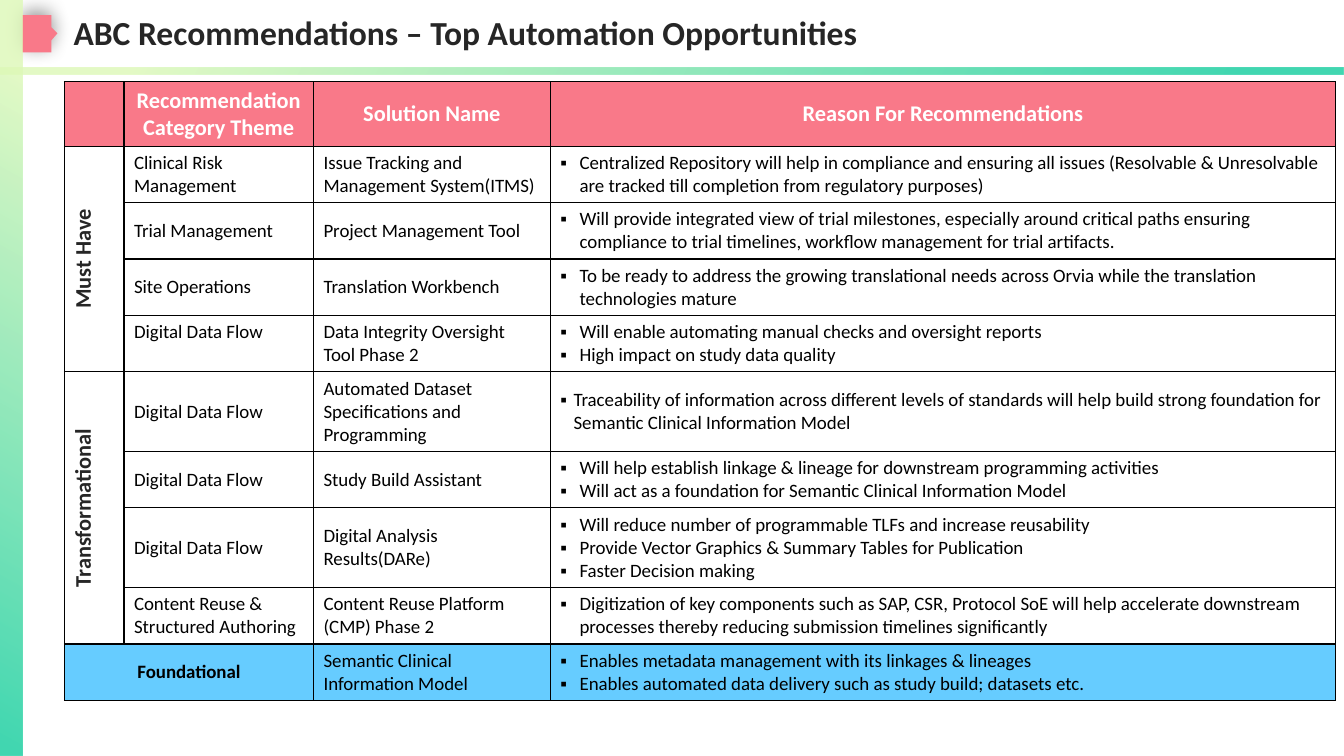
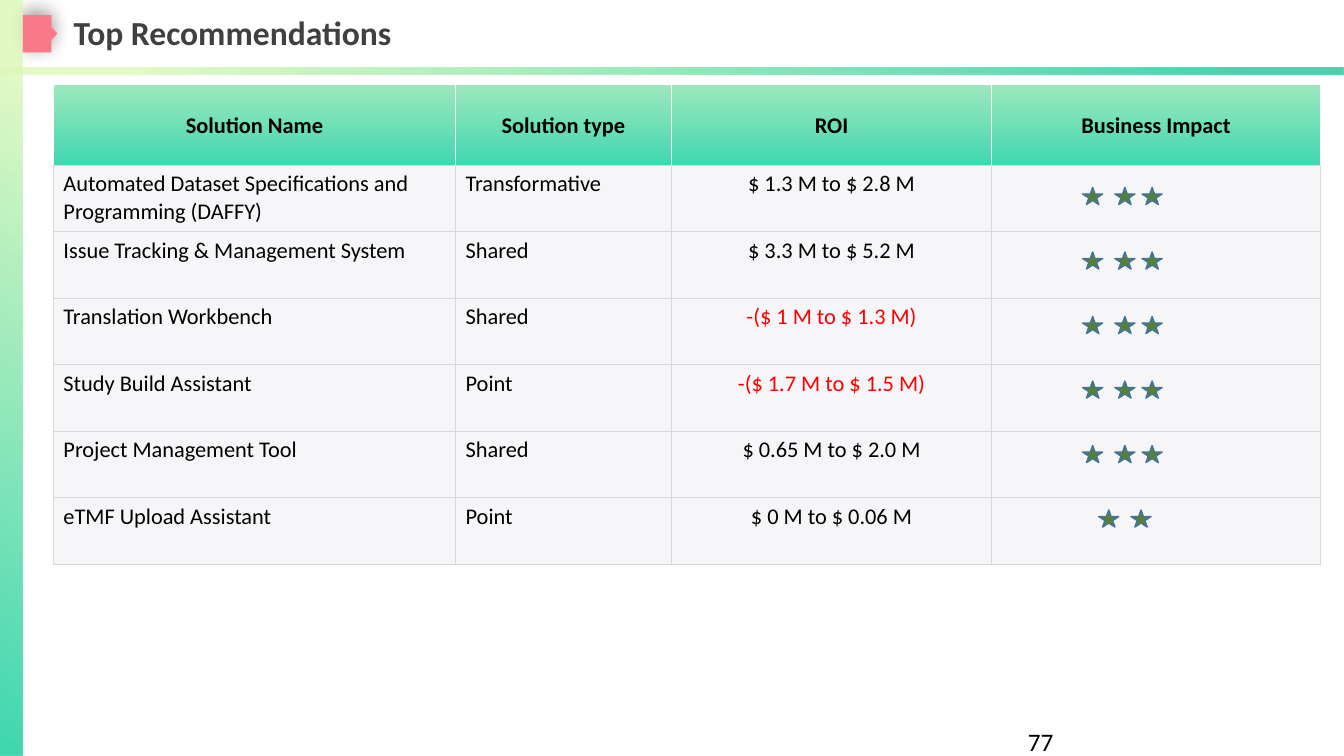
from itertools import accumulate

from lxml.etree import SubElement
from pptx import Presentation
from pptx.dml.color import RGBColor
from pptx.enum.shapes import MSO_SHAPE as Preset
from pptx.enum.text import MSO_ANCHOR as Anchor, PP_ALIGN as Align
from pptx.oxml.ns import qn
from pptx.util import Inches, Pt

COLORS = {
    "black": "000000", "ink": "262626", "slate": "404040", "white": "FFFFFF",
    "coral": "F97989", "sky": "66CCFF", "red": "FF0000", "mist": "F6F6F9",
    "rule": "D9D9D9", "lime": "DDF9B8", "teal": "14CE9F", "mint": "9CE9BC",
    "sea": "41D6B1", "star": "548235", "star edge": "43739E",
}
BODY, HEAD = Pt(13.5), Pt(16)
STYLES = {
    "title": {"size": Pt(24), "bold": True},
    "number": {"size": Pt(18)},
    "head": {"size": HEAD, "bold": True},
    "body": {"size": BODY, "bold": False},
    "strong": {"size": BODY, "bold": True},
    "large": {"size": HEAD, "bold": False},
}
COLUMNS, ROWS, CELL = 133.33, 75, Inches(0.1)
BAR, BAND_TOP, BAND = 2.2, 6.7, 0.7

HEADINGS = ["", "Recommendation Category Theme", "Solution Name", "Reason For Recommendations"]
GROUPS = [("Must Have", 1, 4), ("Transformational", 5, 8)]
OPPORTUNITIES = [
    ("Clinical Risk Management", "Issue Tracking and Management System(ITMS)", 2,
     ["Centralized Repository will help in compliance and ensuring all issues (Resolvable & "
      "Unresolvable are tracked till completion from regulatory purposes)"]),
    ("Trial Management", "Project Management Tool", 2,
     ["Will provide integrated view of trial milestones, especially around critical paths "
      "ensuring compliance to trial timelines, workflow management for trial artifacts."]),
    ("Site Operations", "Translation Workbench", 2,
     ["To be ready to address the growing translational needs across Orvia while the "
      "translation technologies mature"]),
    ("Digital Data Flow", "Data Integrity Oversight Tool Phase 2", 2,
     ["Will enable automating manual checks and oversight reports",
      "High impact on study data quality"]),
    ("Digital Data Flow", "Automated Dataset Specifications and Programming", 3,
     ["Traceability of information across different levels of standards will help build "
      "strong foundation for Semantic Clinical Information Model"]),
    ("Digital Data Flow", "Study Build Assistant", 2,
     ["Will help establish linkage & lineage for downstream programming activities",
      "Will act as a foundation for Semantic Clinical Information Model"]),
    ("Digital Data Flow", "Digital Analysis Results(DARe)", 3,
     ["Will reduce number of programmable TLFs and increase reusability",
      "Provide Vector Graphics & Summary Tables for Publication",
      "Faster Decision making"]),
    ("Content Reuse & Structured Authoring", "Content Reuse Platform (CMP) Phase 2", 2,
     ["Digitization of key components such as SAP, CSR, Protocol SoE will help accelerate "
      "downstream processes thereby reducing submission timelines significantly"]),
    ("Foundational", "Semantic Clinical Information Model", 2,
     ["Enables metadata management with its linkages & lineages",
      "Enables automated data delivery such as study build; datasets etc."]),
]
TIGHT_ROW, TOP_ROW, FOUNDATION_ROW = 5, 4, 9

RETURN_HEADINGS = ["Solution Name", "Solution type", "ROI", "Business Impact"]
RETURNS = [
    ("Automated Dataset Specifications and Programming (DAFFY)", "Transformative",
     "$ 1.3 M to $ 2.8 M", 3),
    ("Issue Tracking & Management System", "Shared", "$ 3.3 M to $ 5.2 M", 3),
    ("Translation Workbench", "Shared", "-($ 1 M to $ 1.3 M)", 3),
    ("Study Build Assistant", "Point", "-($ 1.7 M to $ 1.5 M)", 3),
    ("Project Management Tool", "Shared", "$ 0.65 M to $ 2.0 M", 3),
    ("eTMF Upload Assistant", "Point", "$ 0 M to $ 0.06 M", 2),
]


def grid(*lengths):
    """Turn grid columns or rows into slide lengths."""
    return [round(length * CELL) for length in lengths]


def color(name):
    """Look up a named colour."""
    return RGBColor.from_string(COLORS[name])


class Deck:
    """Hold the shared style and the slide being drawn."""

    def __init__(self):
        """Start an empty wide deck."""
        self.file = Presentation()
        self.file.slide_width, self.file.slide_height = grid(COLUMNS, ROWS)
        self.page = None

    def add_page(self, title, ink):
        """Add a slide with the marker, bands and title."""
        self.page = self.file.slides.add_slide(self.file.slide_layouts[6])
        self.marker()
        self.band((0, 0, BAR, ROWS), 240, 0.98)
        self.band((0, BAND_TOP, COLUMNS, BAND), 330, 0.92)
        box = self.text((7.3, 1.6, 92.3, 3.7), title, "title", ink, margin=0)
        box.text_frame.vertical_anchor = Anchor.MIDDLE
        box.text_frame.paragraphs[0].line_spacing = 0.9

    def marker(self):
        """Draw the shadowed arrow tab beside the title."""
        corners = [(5.7, 3.3), (5.1, 4), (5.1, 5.2), (2.2, 5.2), (2.2, 1.5), (5.1, 1.5), (5.1, 2.7)]
        points = [grid(*corner) for corner in corners]
        builder = self.page.shapes.build_freeform(*points[0])
        builder.add_line_segments(points[1:], close=True)
        shape = builder.convert_to_shape()
        self.paint(shape, "coral")
        effects = shape.element.spPr.find(qn("a:effectLst"))
        shadow = SubElement(effects, qn("a:outerShdw"), blurRad=str(Pt(13)), dist=str(Pt(3)),
                            dir="16200000", algn="t", rotWithShape="0")
        tint = SubElement(shadow, qn("a:srgbClr"), val=COLORS["black"])
        SubElement(tint, qn("a:alpha"), val="40000")

    def paint(self, shape, fill, edge=None):
        """Give a shape a plain fill and an optional edge."""
        shape.shadow.inherit = False
        shape.fill.solid()
        shape.fill.fore_color.rgb = color(fill)
        if edge:
            shape.line.color.rgb, shape.line.width = color(edge), Pt(1)
        else:
            shape.line.fill.background()

    def gradient(self, fill, angle, stops):
        """Apply a two-stop linear gradient."""
        fill.gradient()
        fill.gradient_angle = angle
        for stop, (position, name) in zip(fill.gradient_stops, stops):
            stop.position, stop.color.rgb = position, color(name)

    def band(self, area, angle, end):
        """Draw a translucent lime-to-teal band."""
        shape = self.page.shapes.add_shape(Preset.RECTANGLE, *grid(*area))
        self.paint(shape, "lime")
        self.gradient(shape.fill, angle, [(0.1, "lime"), (end, "teal")])
        for tint in shape.element.spPr.iter(qn("a:srgbClr")):
            SubElement(tint, qn("a:alpha"), val="80000")

    def span(self, para, text, style, ink):
        """Add a styled run to a paragraph."""
        span = para.add_run()
        span.text = text
        span.font.color.rgb = color(ink)
        for name, value in {"name": "Calibri", **STYLES[style]}.items():
            setattr(span.font, name, value)

    def text(self, area, text, style, ink, margin=None):
        """Add a one-paragraph text box."""
        box = self.page.shapes.add_textbox(*grid(*area))
        box.text_frame.word_wrap = True
        if margin is not None:
            for side in ("left", "top", "right", "bottom"):
                setattr(box.text_frame, f"margin_{side}", margin)
        self.span(box.text_frame.paragraphs[0], text, style, ink)
        return box

    def table(self, left, top, columns, rows):
        """Add an unstyled table with given column and row sizes."""
        frame = self.page.shapes.add_table(
            len(rows), len(columns), *grid(left, top, sum(columns), sum(rows)))
        table = frame.table
        table.first_row = table.horz_banding = False
        for column, width in zip(table.columns, grid(*columns)):
            column.width = width
        for row, height in zip(table.rows, grid(*rows)):
            row.height = height
        return table

    def borders(self, cell, names):
        """Rule the left, right, top and bottom of a cell."""
        for side, name in zip("LRTB", names):
            line = SubElement(cell._tc.get_or_add_tcPr(), qn(f"a:ln{side}"), w=str(Pt(1)))
            SubElement(SubElement(line, qn("a:solidFill")), qn("a:srgbClr"), val=COLORS[name])

    def cell(self, cell, lines, style, ink="black", fill=None, edges=("black",) * 4,
             align=Align.LEFT, indent=0, **layout):
        """Fill a table cell with paragraphs, bulleted when indented."""
        self.borders(cell, edges)
        if fill:
            cell.fill.solid()
            cell.fill.fore_color.rgb = color(fill)
        for name, value in layout.items():
            setattr(cell, name, value)
        for index, line in enumerate(filter(None, lines)):
            frame = cell.text_frame
            para = frame.add_paragraph() if index else frame.paragraphs[0]
            para.alignment = align
            if indent:
                step = grid(indent)[0]
                settings = para._p.get_or_add_pPr()
                settings.set("marL", str(step))
                settings.set("indent", str(-step))
                SubElement(settings, qn("a:buFont"), typeface="Arial")
                SubElement(settings, qn("a:buChar"), char="▪")
            self.span(para, line, style, ink)

    def stars(self, left, top, count):
        """Draw a grouped row of rating stars."""
        group = self.page.shapes.add_group_shape()
        for offset in (0, 3.2, 5.9)[:count]:
            star = group.shapes.add_shape(Preset.STAR_5_POINT, *grid(left + offset, top, 2, 1.7))
            self.paint(star, "star", "star edge")


def opportunities(deck):
    """Build the table of automation opportunities."""
    deck.add_page("ABC Recommendations – Top Automation Opportunities", "ink")
    heights = [6.4] + [1 + 2.3 * lines for _, _, lines, _ in OPPORTUNITIES]
    table = deck.table(6.4, 8.1, [5.9, 18.8, 23.5, 77.9], heights)
    middle = {"vertical_anchor": Anchor.MIDDLE}
    for column, heading in enumerate(HEADINGS):
        deck.cell(table.cell(0, column), [heading], "head", "white", "coral",
                  align=Align.CENTER, **middle)
    labels = {first: label for label, first, _ in GROUPS}
    for row, (theme, solution, _, reasons) in enumerate(OPPORTUNITIES, 1):
        last = row == FOUNDATION_ROW
        fill = "sky" if last else "white"
        side, category = ([theme], []) if last else ([labels.get(row)], [theme])
        deck.cell(table.cell(row, 0), side, "strong" if last else "head",
                  "black" if last else "ink", fill, align=Align.CENTER, **middle)
        deck.cell(table.cell(row, 1), category, "body", fill=fill, **middle)
        deck.cell(table.cell(row, 2), [solution], "body", fill=fill, **middle)
        deck.cell(table.cell(row, 3), reasons, "body", fill=fill,
                  indent=1.3 if row == TIGHT_ROW else 1.9, **middle)
    table.cell(TOP_ROW, 1).vertical_anchor = Anchor.TOP
    for _, first, final in GROUPS:
        table.cell(first, 0).merge(table.cell(final, 0))
        table.cell(first, 0)._tc.get_or_add_tcPr().set("vert", "vert270")
    table.cell(FOUNDATION_ROW, 0).merge(table.cell(FOUNDATION_ROW, 1))


def returns(deck):
    """Build the table of returns and star ratings."""
    deck.add_page("Top Recommendations", "slate")
    deck.text((101, 71.6, 30, 3.4), "77", "number", "black")
    table = deck.table(5.3, 8.4, [39.9, 21.4, 31.8, 32.6], [8] + [6.6] * len(RETURNS))
    margins = {f"margin_{side}": Inches(0.01) for side in ("left", "top", "right")}
    for column, heading in enumerate(RETURN_HEADINGS):
        cell = table.cell(0, column)
        deck.cell(cell, [heading], "head", edges=("white", "white", "white", "rule"),
                  align=Align.CENTER, vertical_anchor=Anchor.MIDDLE, margin_bottom=0, **margins)
        deck.gradient(cell.fill, 270, [(0, "mint"), (1, "sea")])
    tops = accumulate([6.4] * (len(RETURNS) - 1), initial=18.6)
    for row, ((*texts, rating), top) in enumerate(zip(RETURNS, tops), 1):
        for column, text in enumerate([*texts, ""]):
            deck.cell(table.cell(row, column), [text], "large",
                      "red" if text.startswith("-") else "black", "mist", ("rule",) * 4,
                      Align.CENTER if column == 2 else Align.LEFT)
        deck.stars(107.4 if rating == 3 else 109, top, rating)


def main():
    """Build and save the deck."""
    deck = Deck()
    opportunities(deck)
    returns(deck)
    deck.file.save("out.pptx")


if __name__ == "__main__":
    main()
